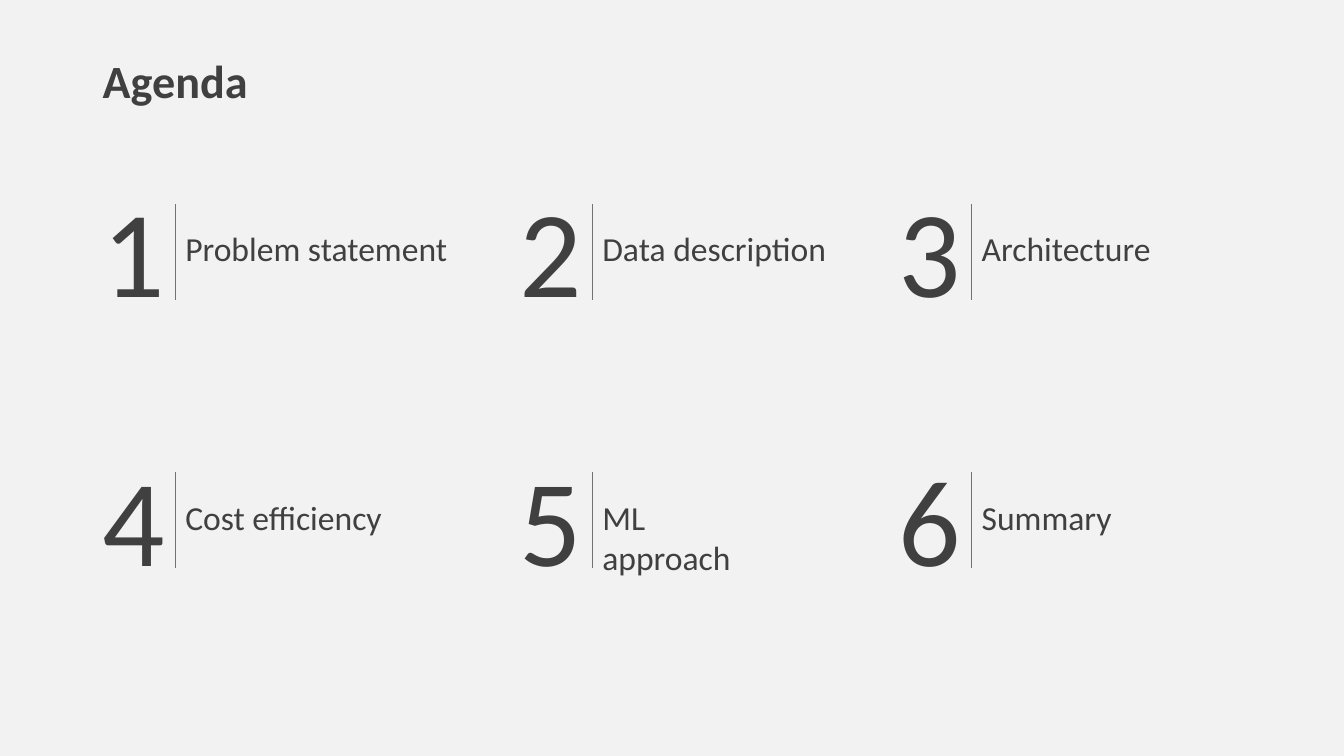
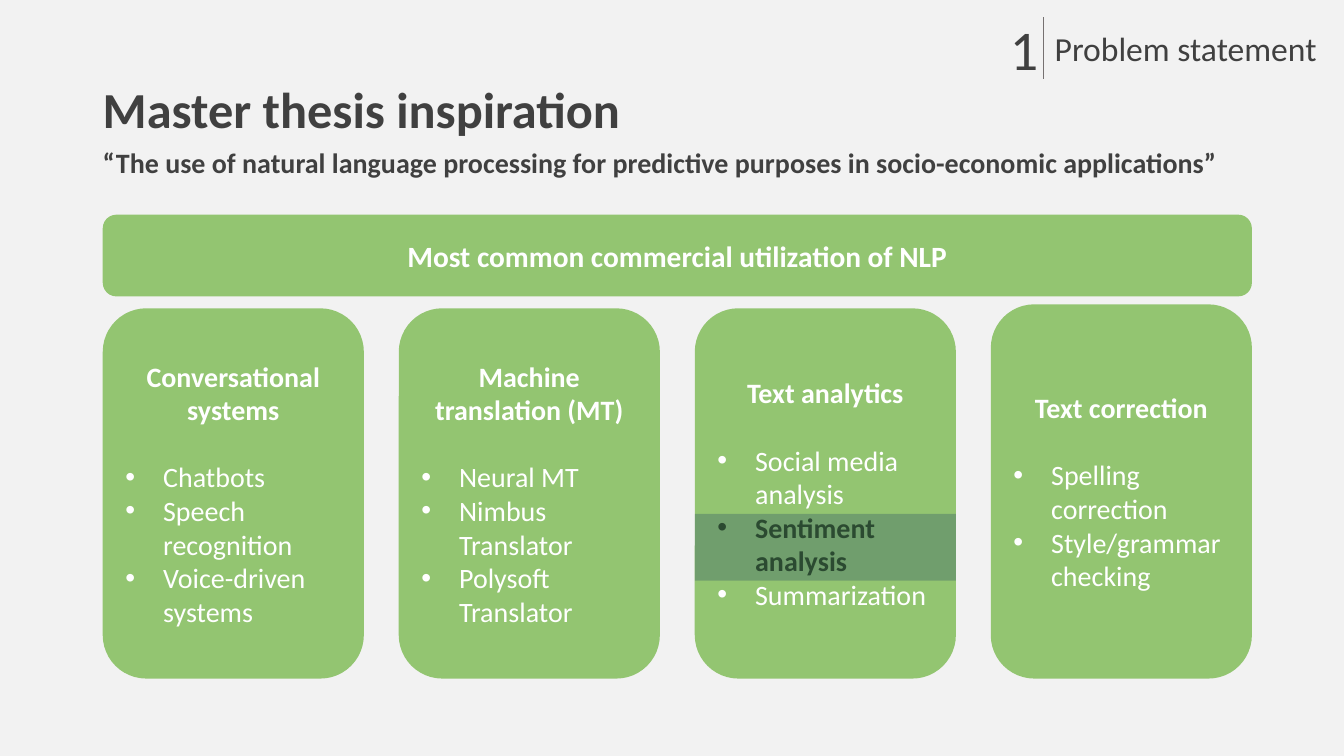
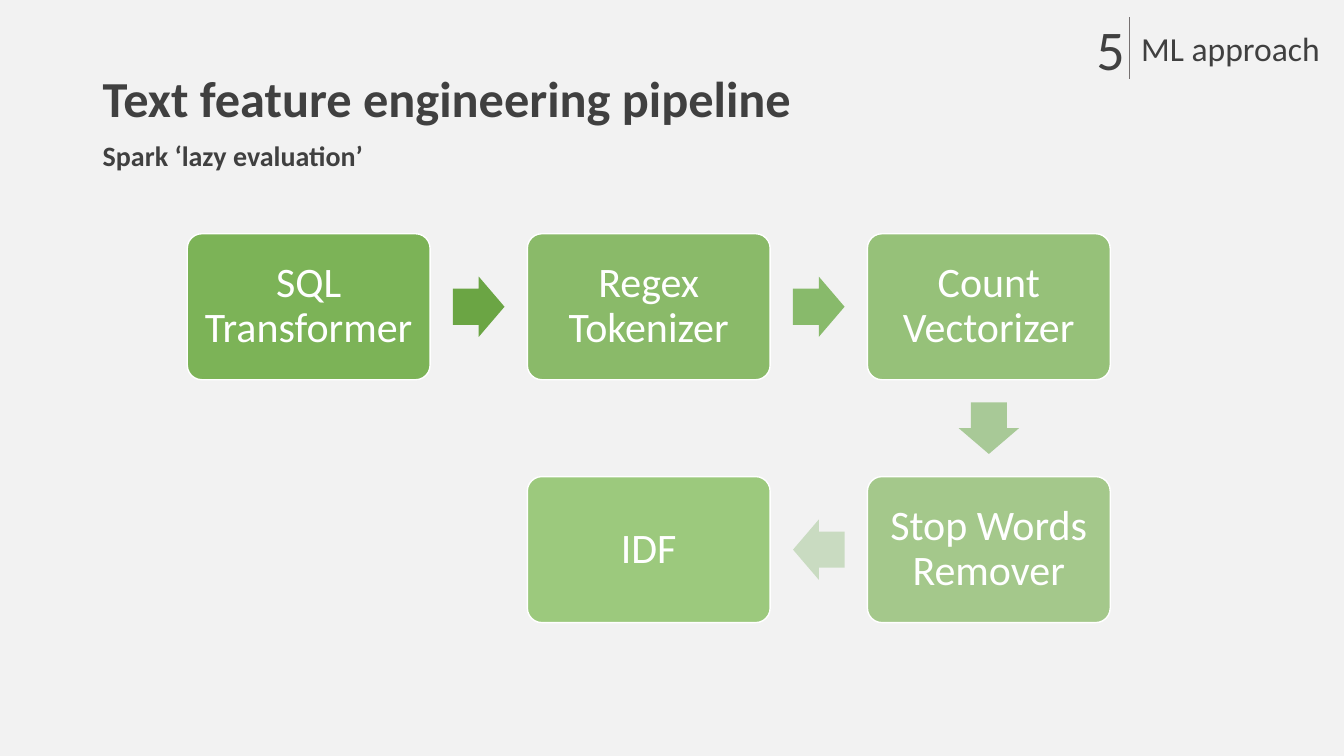
"""Build three slides of a talk on natural language processing."""
import math
from dataclasses import dataclass

from lxml import etree
from pptx import Presentation
from pptx import util as u
from pptx.dml.color import RGBColor
from pptx.enum import shapes, text
from pptx.oxml import ns


@dataclass(frozen=True)
class Theme:
    """Colours, type sizes and margins that the slides share."""
    font: str = "Calibri"
    background: str = "F2F2F2"
    ink: str = "404040"
    rule: str = "767171"
    white: str = "FFFFFF"
    panel: str = "93C571"
    step: str = "70AD47"
    highlight: str = "002060"
    emphasis: str = "385723"
    agenda_title: int = 33
    title: int = 36
    subtitle: int = 20
    banner: int = 21
    body: int = 20
    label: int = 24
    step_text: int = 30
    left: float = 2.34
    width: float = 29.21


@dataclass(frozen=True)
class MarkStyle:
    """Proportions of a number, divider and label, relative to the divider top."""
    digit_size: int
    digit_dx: float
    digit_dy: float
    digit_width: float
    digit_height: float
    rule_height: float
    label_dx: float
    label_dy: float


THEME = Theme()
AGENDA_MARK = MarkStyle(88, -2.09, -0.85, 2.1, 4.0, 2.42, 0, 0.5)
CORNER_MARK = MarkStyle(40, -1.09, -0.2, 1.25, 1.8, 1.57, 0.04, 0.15)


def box(left, top, width, height):
    """Return four lengths given in centimetres."""
    return [u.Cm(length) for length in (left, top, width, height)]


def write(frame, content, *, size, color=THEME.ink, bold=False,
          align=text.PP_ALIGN.LEFT, spacing=1.0, after=0, bullet=False):
    """Add one formatted paragraph to a text frame."""
    paragraph = frame.paragraphs[0]
    if paragraph.runs:
        paragraph = frame.add_paragraph()
    paragraph.alignment = align
    paragraph.line_spacing = spacing
    paragraph.space_after = u.Pt(after)
    run = paragraph.add_run()
    run.text = content
    run.font.name = THEME.font
    run.font.size = u.Pt(size)
    run.font.bold = bold
    run.font.color.rgb = RGBColor.from_string(color)
    if bullet:
        properties = paragraph._p.get_or_add_pPr()
        properties.set("marL", str(u.Cm(0.95)))
        properties.set("indent", str(-u.Cm(0.95)))
        etree.SubElement(properties, ns.qn("a:buFont")).set("typeface", "Arial")
        etree.SubElement(properties, ns.qn("a:buChar")).set("char", "•")


def add_text(slide, content, place, *, wrap=True,
             anchor=text.MSO_ANCHOR.TOP, **style):
    """Add a text box with a single paragraph."""
    frame = slide.shapes.add_textbox(*box(*place)).text_frame
    frame.word_wrap = wrap
    frame.vertical_anchor = anchor
    write(frame, content, **style)


def add_block(slide, preset, place, fill, *, alpha=None, outline=None):
    """Add a filled preset shape and return it."""
    block = slide.shapes.add_shape(preset, *box(*place))
    block.shadow.inherit = False
    block.fill.solid()
    block.fill.fore_color.rgb = RGBColor.from_string(fill)
    if alpha is not None:
        color = block.fill._xPr.find(".//" + ns.qn("a:srgbClr"))
        etree.SubElement(color, ns.qn("a:alpha")).set("val", str(alpha * 1000))
    if outline:
        block.line.color.rgb = RGBColor.from_string(outline)
        block.line.width = u.Pt(1)
    else:
        block.line.fill.background()
    block.text_frame.word_wrap = True
    block.text_frame.vertical_anchor = text.MSO_ANCHOR.MIDDLE
    return block


def add_mark(slide, number, label, x, y, label_width, style):
    """Add a section number, a vertical divider and the section name."""
    add_text(slide, str(number),
             (x + style.digit_dx, y + style.digit_dy,
              style.digit_width, style.digit_height),
             wrap=False, size=style.digit_size)
    add_text(slide, label,
             (x + style.label_dx, y + style.label_dy, label_width, 1.27),
             size=THEME.label)
    divider = slide.shapes.add_connector(
        shapes.MSO_CONNECTOR.STRAIGHT,
        u.Cm(x), u.Cm(y), u.Cm(x), u.Cm(y + style.rule_height))
    divider.line.color.rgb = RGBColor.from_string(THEME.rule)
    divider.line.width = u.Pt(1)
    etree.SubElement(divider._element.spPr, ns.qn("a:effectLst"))


def add_heading(slide, content, top, height, size):
    """Add a bold line across the content width."""
    add_text(slide, content, (THEME.left, top, THEME.width, height),
             anchor=text.MSO_ANCHOR.MIDDLE, size=size, bold=True, spacing=0.9)


def add_slide(deck):
    """Add a blank slide with the shared background."""
    slide = deck.slides.add_slide(deck.slide_layouts[6])
    slide.background.fill.solid()
    slide.background.fill.fore_color.rgb = RGBColor.from_string(THEME.background)
    return slide


def add_topic(slide, heading, items, place, emphasized=None):
    """Add a rounded panel with a heading and bullets."""
    frame = add_block(slide, shapes.MSO_SHAPE.ROUNDED_RECTANGLE,
                      place, THEME.panel).text_frame
    write(frame, heading, size=THEME.body, color=THEME.white, bold=True,
          align=text.PP_ALIGN.CENTER, after=24)
    for item in items:
        strong = item == emphasized
        write(frame, item, size=THEME.body, bold=strong, bullet=True,
              color=THEME.emphasis if strong else THEME.white)


def add_step(slide, name, place, fill, alpha):
    """Add one pipeline step."""
    step = add_block(slide, shapes.MSO_SHAPE.ROUNDED_RECTANGLE, place, fill,
                     alpha=alpha, outline=THEME.white)
    step.adjustments[0] = 0.1
    frame = step.text_frame
    frame.margin_left = frame.margin_right = u.Cm(0.28)
    write(frame, name, size=THEME.step_text, color=THEME.white,
          align=text.PP_ALIGN.CENTER, spacing=0.9)


def add_arrow(slide, start, end, fill):
    """Add a block arrow midway between two step centres."""
    width, height = 1.3, 1.52
    (x1, y1), (x2, y2) = start, end
    arrow = add_block(slide, shapes.MSO_SHAPE.RIGHT_ARROW,
                      ((x1 + x2 - width) / 2, (y1 + y2 - height) / 2,
                       width, height), fill)
    arrow.adjustments[0], arrow.adjustments[1] = 0.6, 0.5
    arrow.rotation = math.degrees(math.atan2(y2 - y1, x2 - x1))


def build_agenda(deck):
    """Build the agenda slide."""
    slide = add_slide(deck)
    add_heading(slide, "Agenda", 1.02, 2.18, THEME.agenda_title)
    columns, rows = (4.42, 14.93, 24.49), (5.13, 11.89)
    sections = (("Problem statement", 7.4), ("Data description", 7.4),
                ("Architecture", 7.4), ("Cost efficiency", 7.4),
                ("ML approach", 4.2), ("Summary", 7.4))
    for index, (label, label_width) in enumerate(sections):
        row, column = divmod(index, len(columns))
        add_mark(slide, index + 1, label, columns[column], rows[row],
                 label_width, AGENDA_MARK)


def build_inspiration(deck):
    """Build the slide on common uses of language processing."""
    slide = add_slide(deck)
    add_heading(slide, "Master thesis inspiration", 1.96, 1.73, THEME.title)
    add_mark(slide, 1, "Problem statement", 26.29, 0.43, 7.4, CORNER_MARK)
    add_heading(slide, "“The use of natural language processing for predictive "
                "purposes in socio-economic applications”",
                3.53, 1.24, THEME.subtitle)
    left, pitch, width = 2.59, 7.46, 6.58
    banner = add_block(slide, shapes.MSO_SHAPE.ROUNDED_RECTANGLE,
                       (left, 5.41, 3 * pitch + width, 2.06), THEME.panel)
    write(banner.text_frame, "Most common commercial utilization of NLP",
          size=THEME.banner, color=THEME.white, bold=True,
          align=text.PP_ALIGN.CENTER)
    topics = (
        ("Conversational systems", 7.77,
         ("Chatbots", "Speech recognition", "Voice-driven systems")),
        ("Machine translation (MT)", 7.77,
         ("Neural MT", "Nimbus Translator", "Polysoft Translator")),
        ("Text analytics", 7.77,
         ("Social media analysis", "Sentiment analysis", "Summarization")),
        ("Text correction", 7.67,
         ("Spelling correction", "Style/grammar checking")),
    )
    bottom = 17.1
    for index, (heading, top, items) in enumerate(topics):
        add_topic(slide, heading, items,
                  (left + index * pitch, top, width, bottom - top),
                  emphasized="Sentiment analysis")
    add_block(slide, shapes.MSO_SHAPE.RECTANGLE,
              (left + 2 * pitch, 12.95, width, 1.68), THEME.highlight, alpha=23)


def build_pipeline(deck):
    """Build the feature engineering pipeline slide."""
    slide = add_slide(deck)
    add_heading(slide, "Text feature engineering pipeline", 1.68, 1.73, THEME.title)
    add_mark(slide, 5, "ML approach", 28.47, 0.43, 5.2, CORNER_MARK)
    add_heading(slide, "Spark ‘lazy evaluation’", 3.35, 1.24, THEME.subtitle)
    width, height = 6.12, 3.68
    steps = (("SQL Transformer", 0, 0, THEME.step, 90),
             ("Regex Tokenizer", 1, 0, THEME.step, 80),
             ("Count Vectorizer", 2, 0, THEME.step, 70),
             ("Stop Words Remover", 2, 1, THEME.step, 60),
             ("IDF", 1, 1, THEME.panel, 90))
    centres = []
    for name, column, row, fill, alpha in steps:
        x, y = 4.72 + column * 8.57, 5.89 + row * 6.12
        add_step(slide, name, (x, y, width, height), fill, alpha)
        centres.append((x + width / 2, y + height / 2))
    arrow_fills = ("6BA544", "88BA6B", "A8C997", "C9DBC1")
    for start, end, fill in zip(centres, centres[1:], arrow_fills):
        add_arrow(slide, start, end, fill)


def main():
    """Build and save the deck."""
    deck = Presentation()
    deck.slide_width, deck.slide_height = u.Cm(33.87), u.Cm(19.05)
    build_agenda(deck)
    build_inspiration(deck)
    build_pipeline(deck)
    deck.save("out.pptx")


if __name__ == "__main__":
    main()
